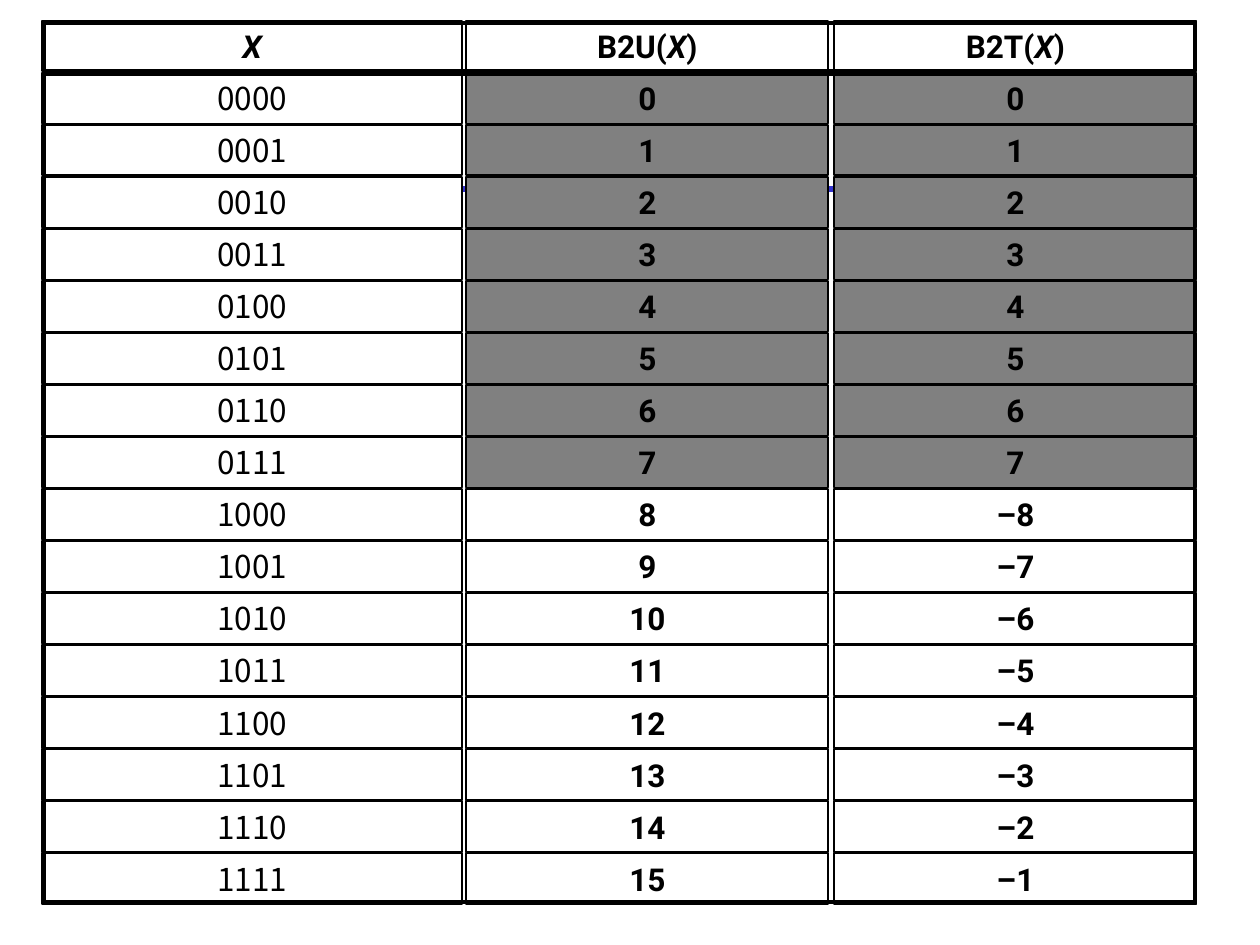
from dataclasses import dataclass
from lxml.etree import SubElement
from pptx import Presentation
from pptx.dml.color import RGBColor as RGB
from pptx.enum.shapes import MSO_CONNECTOR as LINK, MSO_SHAPE as SHAPE
from pptx.enum.text import MSO_ANCHOR as ANCHOR, PP_ALIGN as ALIGN
from pptx.oxml.ns import qn
from pptx.util import Cm, Pt


@dataclass
class Theme:
    ink: RGB = RGB(0, 0, 0)
    paper: RGB = RGB(255, 255, 255)
    shade: RGB = RGB(128, 128, 128)
    rule: RGB = RGB(0x33, 0x33, 0xCC)
    size: Pt = Pt(18)
    plain: str = "Noto Sans CJK KR"
    strong: str = "Roboto"


theme = Theme()


def write(para, text, font=theme.strong, bold=True, italic=False):
    run = para.add_run()
    run.text = text
    run.font.name = font
    run.font.size = theme.size
    run.font.bold = bold
    run.font.italic = italic
    run.font.color.rgb = theme.ink


def box(left, top, width, height, fill=None, weight=1):
    rect = grid.shapes.add_shape(
        SHAPE.RECTANGLE, Cm(left), Cm(top), Cm(width), Cm(height))
    rect.shadow.inherit = False
    if fill is None:
        rect.fill.background()
    else:
        rect.fill.solid()
        rect.fill.fore_color.rgb = fill
    rect.line.color.rgb = theme.ink
    rect.line.width = Pt(weight)
    return rect


deck = Presentation()
deck.slide_width, deck.slide_height = Cm(25.4), Cm(19.05)
slide = deck.slides.add_slide(deck.slide_layouts[6])

rule = slide.shapes.add_connector(
    LINK.STRAIGHT, Cm(1.27), Cm(3.81), Cm(23.7), Cm(3.81))
rule.line.color.rgb = theme.rule
rule.line.width = Pt(3)
SubElement(rule.element.spPr, qn("a:effectLst"))

grid = slide.shapes.add_group_shape()
cols = [(0.85, 8.47), (9.4, 7.3), (16.82, 7.3)]
first, last = 0.42, 17.2
step = (last - first) / 16

rows = [["X", "B2U(X)", "B2T(X)"]]
for num in range(16):
    signed = str(num) if num < 8 else f"–{16 - num}"
    rows.append([f"{num:04b}", str(num), signed])

for i, row in enumerate(rows):
    for j, (text, (left, width)) in enumerate(zip(row, cols)):
        fill = theme.shade if j and 1 <= i <= 8 else theme.paper
        cell = box(left, first + i * step, width, 1.02, fill=fill)
        frame = cell.text_frame
        frame.word_wrap = False
        frame.vertical_anchor = ANCHOR.MIDDLE
        para = frame.paragraphs[0]
        para.alignment = ALIGN.CENTER
        if i == 0:
            head, mark, tail = text.partition("X")
            for part in filter(None, (head, mark, tail)):
                write(para, part, italic=part == "X")
        elif j == 0:
            write(para, text, font=theme.plain, bold=False)
        else:
            write(para, text)

for top, height in [(0.46, 0.97), (1.5, 16.69)]:
    box(0.89, top, 23.19, height, weight=2)

deck.save("out.pptx")
